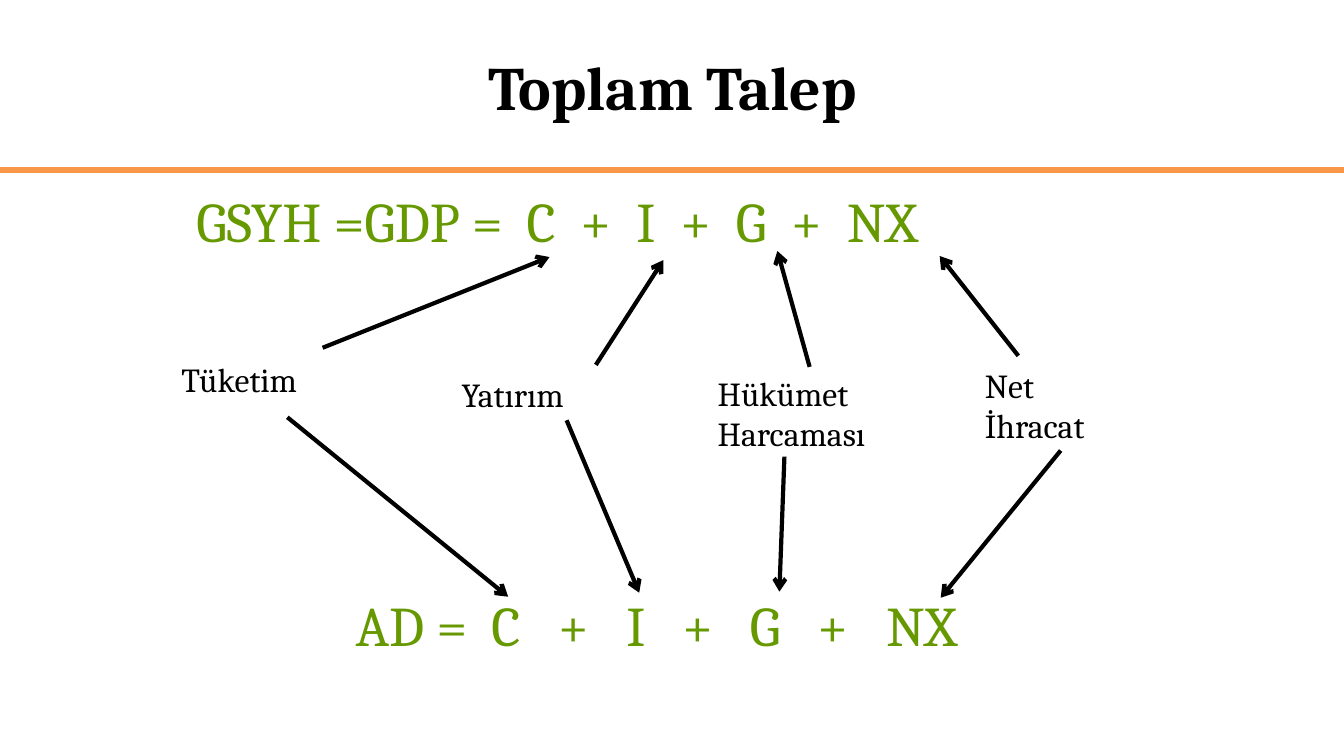
"""Build the slide that links the parts of GDP to aggregate demand."""
from lxml.etree import SubElement
from pptx import Presentation
from pptx.dml.color import RGBColor
from pptx.enum.shapes import MSO_CONNECTOR
from pptx.enum.text import MSO_ANCHOR, PP_ALIGN
from pptx.oxml.ns import qn
from pptx.util import Inches, Pt

THEME = {
    "font": "Cambria",
    "ink": "000000", "green": "669900", "orange": "F79646",
    "title": 44, "sum": 40, "label": 24,
    "rule": 4.5, "arrow": 3,
}
WIDE, HIGH, INSET = 13.33, 7.5, 0.1

TITLE = "Toplam Talep"
TERMS = ["C", "+", "I", "+", "G", "+", "NX"]
SUMS = [
    ("GSYH =GDP =", (1.85, 1.8, 7.64, 0.77),
     (5.37, 5.91, 6.41, 6.9, 7.45, 8, 8.75)),
    ("AD =", (3.43, 5.81, 7.67, 0.77),
     (5.02, 5.69, 6.31, 6.92, 7.59, 8.26, 9.14)),
]
PARTS = [
    ("Tüketim", (1.7, 3.51, 2.28, 0.5),
     (3.2, 3.45, 5.45, 2.55), (2.85, 4.14, 5.04, 5.92)),
    ("Yatırım", (4.48, 3.66, 2.28, 0.5),
     (5.91, 3.62, 6.58, 2.58), (5.62, 4.17, 6.34, 5.88)),
    ("Hükümet Harcaması", (7.02, 3.65, 2.28, 0.91),
     (8.03, 3.64, 7.71, 2.49), (7.78, 4.53, 7.73, 5.87)),
    ("Net İhracat", (9.67, 3.57, 1.71, 0.91),
     (10.1, 3.53, 9.32, 2.54), (10.52, 4.47, 9.33, 5.93)),
]


def add_text(slide, text, box, size, color="ink"):
    frame = slide.shapes.add_textbox(*map(Inches, box)).text_frame
    frame.word_wrap = True
    para = frame.paragraphs[0]
    para.text = text
    para.font.name = THEME["font"]
    para.font.size = Pt(THEME[size])
    para.font.color.rgb = RGBColor.from_string(THEME[color])
    return frame, para


def add_sum(slide, name, box, stops):
    text = "\t".join([name, *TERMS])
    para = add_text(slide, text, box, "sum", "green")[1]
    props = para._p.get_or_add_pPr()
    tabs = props.makeelement(qn("a:tabLst"), {})
    props.insert(0, tabs)
    for stop in stops:
        place = Inches(stop - box[0] - INSET)
        SubElement(tabs, qn("a:tab"), pos=str(place), algn="ctr")


def add_line(slide, ends, width, color="ink", head=False):
    line = slide.shapes.add_connector(
        MSO_CONNECTOR.STRAIGHT, *map(Inches, ends))
    line.line.width = Pt(THEME[width])
    line.line.color.rgb = RGBColor.from_string(THEME[color])
    if head:
        SubElement(line.line._get_or_add_ln(), qn("a:tailEnd"), type="arrow")
    SubElement(line._element.spPr, qn("a:effectLst"))


def main():
    deck = Presentation()
    deck.slide_width, deck.slide_height = Inches(WIDE), Inches(HIGH)
    slide = deck.slides.add_slide(deck.slide_layouts[6])

    add_line(slide, (0, 1.69, WIDE, 1.69), "rule", "orange")
    frame, para = add_text(slide, TITLE, (0.67, 0.02, 12, 1.67), "title")
    frame.vertical_anchor = MSO_ANCHOR.MIDDLE
    para.alignment = PP_ALIGN.CENTER
    para.font.bold = True

    for name, box, stops in SUMS:
        add_sum(slide, name, box, stops)
    for name, box, *arrows in PARTS:
        add_text(slide, name, box, "label")
        for ends in arrows:
            add_line(slide, ends, "arrow", head=True)

    deck.save("out.pptx")


if __name__ == "__main__":
    main()
